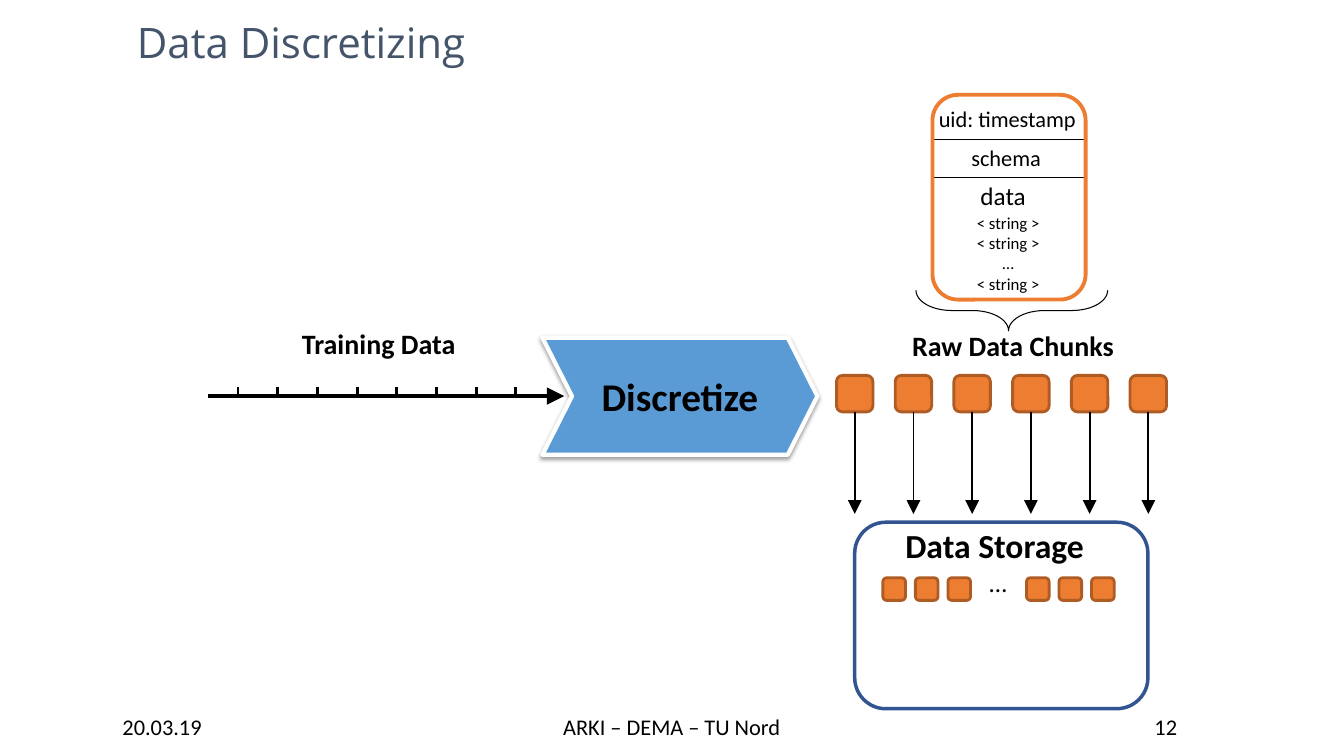
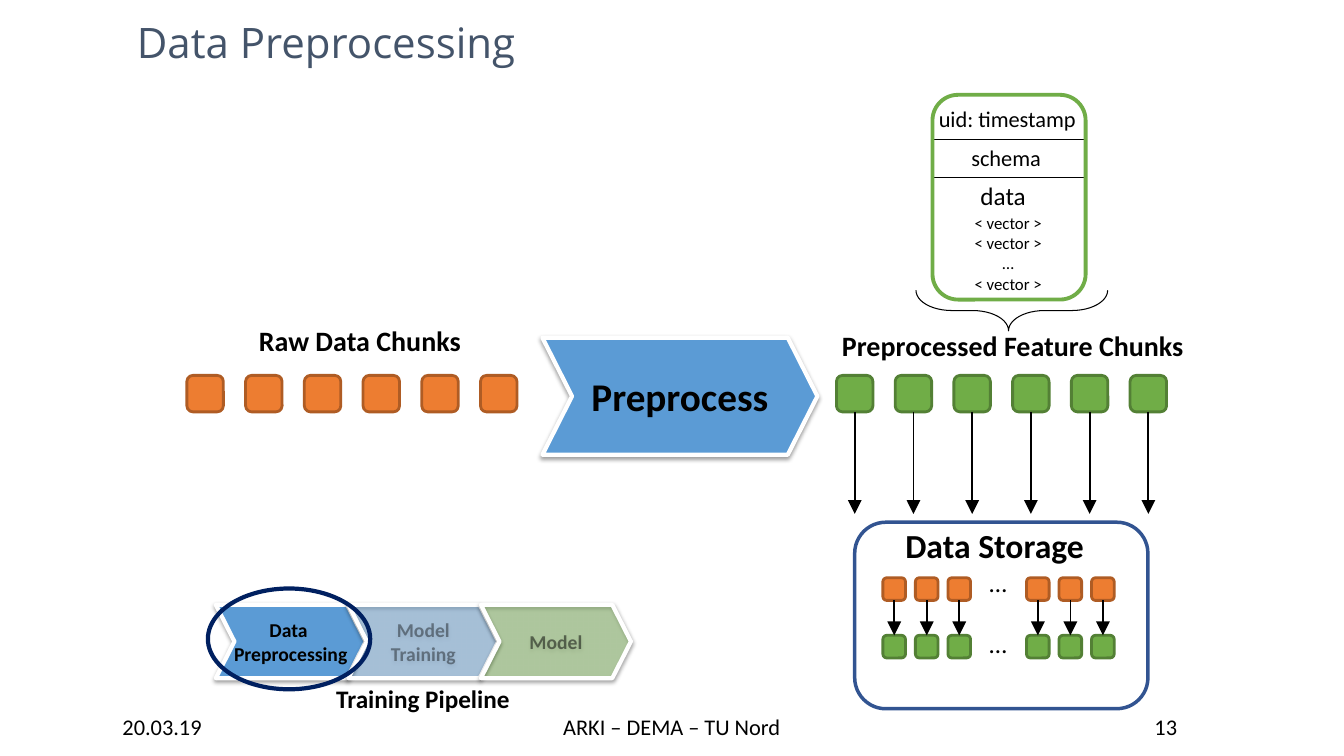
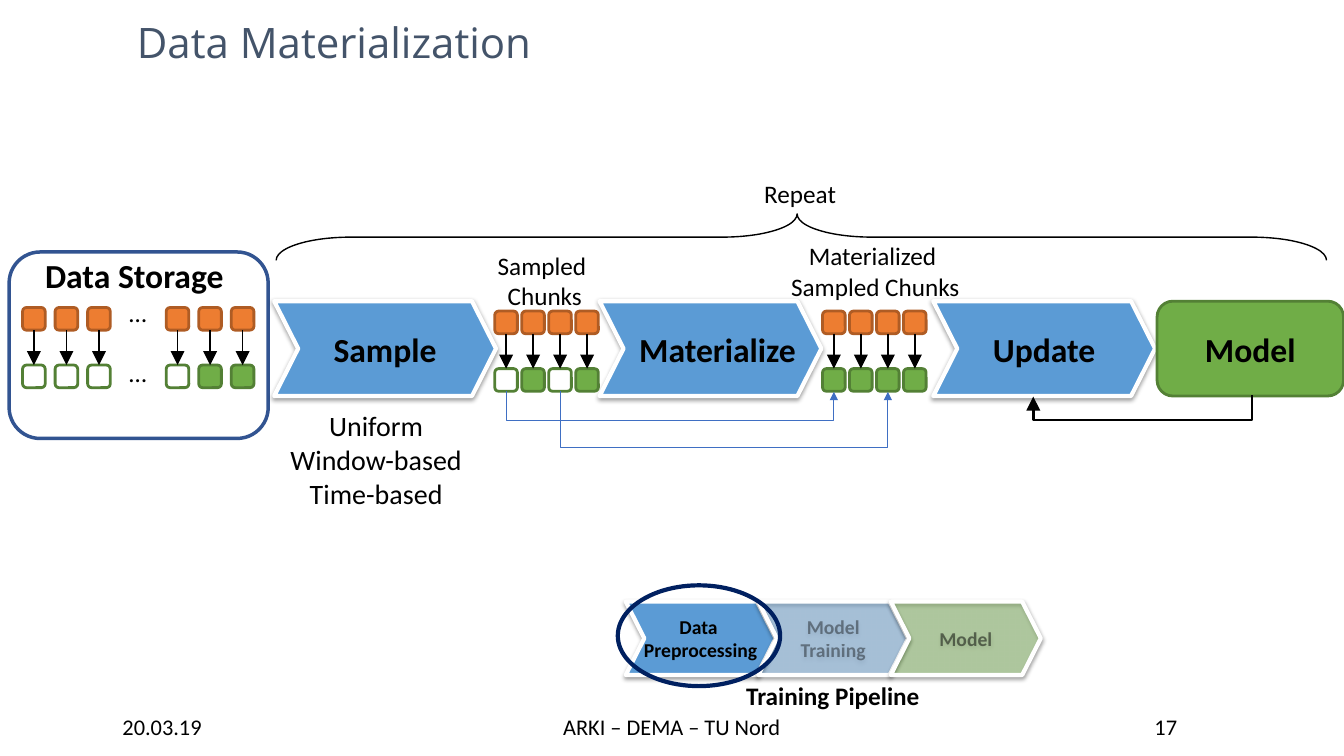
from pptx import Presentation
from pptx.dml.color import RGBColor
from pptx.enum.shapes import MSO_CONNECTOR as CONN, MSO_SHAPE as SHAPE
from pptx.enum.text import MSO_ANCHOR as ANCHOR, MSO_AUTO_SIZE as AUTO, PP_ALIGN as ALIGN
from pptx.oxml.ns import qn
from pptx.util import Cm, Pt
from lxml.etree import SubElement

# Shared colours, fonts and sizes (lengths in cm)
BLACK, WHITE, SLATE, NAVY = "000000", "FFFFFF", "44546A", "002060"
BLUE, ORANGE, GREEN = "5B9BD5", "ED7D31", "70AD47"
STORAGE_LINE, LINK = "325491", "3F6FC3"
EDGE = {ORANGE: "AF5C24", GREEN: "538035"}
BODY, HEAD = "Calibri", "Open Sans"
CHUNK, CHUNK_STEP, CHUNK_COUNT, CHUNK_TOP = 0.92, 1.48, 6, 9.46
MINI, ROW_STEP = 0.57, 1.45
OUT_LEFT = 21.08
FOOTER = "ARKI – DEMA – TU Nord"


def rgb(color):
    return RGBColor.from_string(color)


def fade(parent, percent):
    """Make the colour inside parent partly transparent."""
    clr = next(parent.iter(qn("a:srgbClr")))
    SubElement(clr, qn("a:alpha"), val=str(percent * 1000))


# Text
def write(sp, lines, size, color=BLACK, align=ALIGN.CENTER, wrap=False, text_alpha=None,
          **fmt):
    tf = sp.text_frame
    tf.word_wrap = wrap
    font = {"size": Pt(size), "name": BODY, "bold": False, **fmt}
    for i, content in enumerate(lines.split("\n")):
        p = tf.paragraphs[0] if i == 0 else tf.add_paragraph()
        p.alignment = align
        r = p.add_run()
        r.text = content
        for key, value in font.items():
            setattr(r.font, key, value)
        r.font.color.rgb = rgb(color)
        if text_alpha:
            fade(r._r, text_alpha)


def text(s, at, lines, size, anchor=ANCHOR.TOP, grow=True, **fmt):
    sp = s.shapes.add_textbox(*map(Cm, at))
    write(sp, lines, size, **fmt)
    sp.text_frame.vertical_anchor = anchor
    sp.text_frame.auto_size = AUTO.SHAPE_TO_FIT_TEXT if grow else AUTO.NONE


# Shapes and lines
def shape(s, kind, at, fill, edge, width, adj=(), rotation=0):
    sp = s.shapes.add_shape(kind, *map(Cm, at))
    sp.shadow.inherit = False
    sp.rotation = rotation
    for i, value in enumerate(adj):
        sp.adjustments[i] = value
    if fill:
        sp.fill.solid()
        sp.fill.fore_color.rgb = rgb(fill)
    else:
        sp.fill.background()
    sp.line.color.rgb = rgb(edge)
    sp.line.width = Pt(width)
    return sp


def square(s, x, y, side, fill, edge):
    shape(s, SHAPE.ROUNDED_RECTANGLE, (x, y, side, side), fill, edge, 2)


def chevron(s, at, lines, size, fill=BLUE, alpha=None, indent=0, **fmt):
    sp = shape(s, SHAPE.CHEVRON, at, fill, WHITE, 3, adj=[0.253])
    spPr = sp._element.spPr
    if alpha:
        fade(spPr.find(qn("a:solidFill")), alpha)
    shadow = SubElement(spPr.find(qn("a:effectLst")), qn("a:outerShdw"), blurRad="40000",
                        dist="20000", dir="5400000", rotWithShape="0")
    SubElement(SubElement(shadow, qn("a:srgbClr"), val=BLACK), qn("a:alpha"), val="38000")
    write(sp, lines, size, bold=True, **fmt)
    sp.text_frame.vertical_anchor = ANCHOR.MIDDLE
    sp.text_frame.margin_left = Cm(0.25 + indent)


def line(s, x1, y1, x2, y2, width, color=BLACK, head=None, kind=CONN.STRAIGHT):
    """Line, with an arrowhead at its end when head gives a size (med or lg)."""
    cxn = s.shapes.add_connector(kind, *map(Cm, (x1, y1, x2, y2)))
    cxn.line.color.rgb = rgb(color)
    cxn.line.width = Pt(width)
    spPr = cxn._element.spPr
    if head:
        SubElement(spPr.find(qn("a:ln")), qn("a:tailEnd"), type="triangle", w=head, len=head)
    SubElement(spPr, qn("a:effectLst"))
    return cxn


def loop_arrow(s, x1, x2, y, drop, width, color=BLACK, head="lg"):
    """Elbow arrow that leaves x1 downwards and comes back up at x2."""
    thin, span, mid = 0.03, abs(x2 - x1), (x1 + x2) / 2
    cxn = line(s, mid - thin / 2, y - span / 2, mid + thin / 2, y + span / 2,
               width, color, head, CONN.ELBOW)
    spPr = cxn._element.spPr
    xfrm = spPr.find(qn("a:xfrm"))
    xfrm.set("rot", str((270 if x2 > x1 else 90) * 60000))
    if x2 > x1:
        xfrm.set("flipH", "1")
    guides = spPr.find(qn("a:prstGeom")).get_or_add_avLst()
    SubElement(guides, qn("a:gd"), name="adj1", fmla=f"val {round(drop / thin * 100000)}")


# Diagram parts
def chunk_row(s, left, fill, arrows=False):
    for i in range(CHUNK_COUNT):
        x = left + i * CHUNK_STEP
        square(s, x, CHUNK_TOP, CHUNK, fill, EDGE[fill])
        if arrows:
            mid = x + CHUNK / 2
            line(s, mid, CHUNK_TOP + CHUNK, mid, 12.95, 1.25, head="lg")


def mini_chunks(s, left, top, step, features):
    """Raw chunks, each over its feature chunk: filled, empty (None) or left out (False)."""
    for i, fill in enumerate(features):
        x, mid = left + i * step, left + i * step + MINI / 2
        square(s, x, top, MINI, ORANGE, EDGE[ORANGE])
        if fill is not False:
            square(s, x, top + ROW_STEP, MINI, fill, EDGE[GREEN])
            line(s, mid, top + MINI, mid, top + ROW_STEP, 1.25, head="lg")


def storage(s, at, mid, features):
    shape(s, SHAPE.ROUNDED_RECTANGLE, at, None, STORAGE_LINE, 2.5)
    top, left = at[1] + 1.4, mid - 2.91
    text(s, (mid - 2.63, at[1] - 0.05, 5.26, 1.27), "Data Storage ", 24, bold=True)
    mini_chunks(s, left, top, 0.82, features[:3])
    mini_chunks(s, left + 3.62, top, 0.82, features[3:])
    dots = [top - 0.38] + ([top + 1.14] if features[0] is not False else [])
    for y in dots:
        text(s, (left + 2.42, y, 0.97, 1.02), "…", 18)


def record_card(s, color, item):
    shape(s, SHAPE.LEFT_BRACE, (24.99, 5.41, 1.02, 4.83), None, BLACK, 0.75,
          adj=[0.887, 0.483], rotation=270)
    for y in (3.52, 4.47):
        line(s, 23.47, y, 27.33, y, 1)
    text(s, (23.38, 2.53, 4.01, 0.94), "uid: timestamp", 16)
    text(s, (24.21, 3.51, 2.29, 0.94), "schema", 16)
    text(s, (24.44, 4.42, 1.68, 1.02), "data", 18)
    text(s, (24.01, 5.24, 2.8, 2.31), f"{item}\n{item}\n…\n{item}", 12)
    shape(s, SHAPE.ROUNDED_RECTANGLE, (23.5, 2.39, 3.86, 5.16), None, color, 2.75)


def step_to_storage(s, step, color, item, label, label_at, features):
    """Processing step, its output chunks and the storage they go to."""
    chevron(s, (13.67, 8.51, 6.93, 2.95), step, 28)
    record_card(s, color, item)
    text(s, label_at, label, 20, bold=True)
    chunk_row(s, OUT_LEFT, color, arrows=True)
    storage(s, (21.54, 13.16, 7.39, 4.7), 25.16, features)


def pipeline(s, x, y):
    stages = [("Data \nPreprocessing", {}),
              ("Model Training", {"alpha": 40, "text_alpha": 40, "wrap": True}),
              ("Model", {"fill": GREEN, "alpha": 40, "text_alpha": 50, "wrap": True})]
    for i, (label, fmt) in enumerate(stages):
        chevron(s, (x + i * 3.34, y, 3.78, 1.85), label, 14, **fmt)
    shape(s, SHAPE.OVAL, (x - 0.2, y - 0.41, 4.09, 2.54), None, NAVY, 3)
    text(s, (x + 2.77, y + 1.85, 4.9, 1.02), "Training Pipeline", 18, bold=True)


def new_slide(prs, title, number):
    s = prs.slides.add_slide(prs.slide_layouts[6])
    text(s, (3.2, 0.15, 24.03, 1.78), title, 30, ANCHOR.MIDDLE, grow=False, color=SLATE,
         align=ALIGN.LEFT, wrap=True, name=HEAD)
    for x, w, label in ((1.57, 5.03, "20.03.19"), (12.7, 8.46, FOOTER),
                        (26.47, 5.82, str(number))):
        text(s, (x, 17.83, w, 0.94), label, 16, ANCHOR.MIDDLE, wrap=True)
    return s


# Slides
def discretizing(prs):
    s = new_slide(prs, "Data Discretizing", 12)
    line(s, 5.23, 9.98, 14.22, 9.98, 2.5, head="lg")
    for i in range(8):
        line(s, 6 + i, 9.96, 6 + i, 9.75, 2)
    text(s, (7.34, 8.1, 4.57, 1.12), "Training Data ", 20, bold=True)
    step_to_storage(s, "Discretize", ORANGE, "< string >", "Raw Data Chunks",
                    (22.71, 8.15, 5.64, 1.12), [False] * 6)


def preprocessing(prs):
    s = new_slide(prs, "Data Preprocessing", 13)
    pipeline(s, 5.44, 15.24)
    chunk_row(s, 4.71, ORANGE)
    text(s, (6.25, 8.03, 5.64, 1.12), "Raw Data Chunks", 20, bold=True)
    step_to_storage(s, "Preprocess", GREEN, "< vector >", "Preprocessed Feature Chunks",
                    (20.93, 8.15, 9.19, 1.12), [GREEN] * 6)


def materialization(prs):
    s = new_slide(prs, "Data Materialization", 17)
    pipeline(s, 15.77, 15.16)
    storage(s, (0.23, 6.35, 6.53, 4.7), 3.48, [None] * 4 + [GREEN] * 2)

    # Steps and model
    for x, label, indent in ((6.91, "Sample", 0), (15.11, "Materialize", 0.36),
                             (23.52, "Update", 0)):
        chevron(s, (x, 7.59, 5.59, 2.39), label, 24, indent=indent)
    model = shape(s, SHAPE.ROUNDED_RECTANGLE, (29.16, 7.59, 4.7, 2.39), GREEN, EDGE[GREEN], 2)
    write(model, "Model", 24, bold=True, wrap=True)
    loop_arrow(s, 31.55, 26.04, 9.98, 0.62, 2)

    # Sampled chunks, and the empty ones that get materialized
    sampled, done, top, step = 12.47, 20.73, 7.84, 0.68
    mini_chunks(s, sampled, top, step, [None, GREEN, None, GREEN])
    mini_chunks(s, done, top, step, [GREEN] * 4)
    for i, drop in ((0, 0.75), (2, 1.44)):
        mid = i * step + MINI / 2
        loop_arrow(s, sampled + mid, done + mid, top + ROW_STEP + MINI, drop, 0.75, LINK,
                   head="med")

    # Labels
    text(s, (12.27, 6.18, 2.92, 1.8), "Sampled \nChunks", 18)
    text(s, (19.66, 5.94, 4.8, 1.8), "Materialized \nSampled Chunks", 18)
    text(s, (7.04, 10.18, 4.88, 2.82), "Uniform\nWindow-based\nTime-based", 20)
    shape(s, SHAPE.RIGHT_BRACE, (19.61, -7.26, 1.17, 26.47), None, BLACK, 1,
          adj=[1.611, 0.496], rotation=270)
    text(s, (18.97, 4.37, 2.39, 1.02), "Repeat", 18)


def main():
    prs = Presentation()
    prs.slide_width, prs.slide_height = Cm(33.87), Cm(19.05)
    discretizing(prs)
    preprocessing(prs)
    materialization(prs)
    prs.save("out.pptx")


if __name__ == "__main__":
    main()
